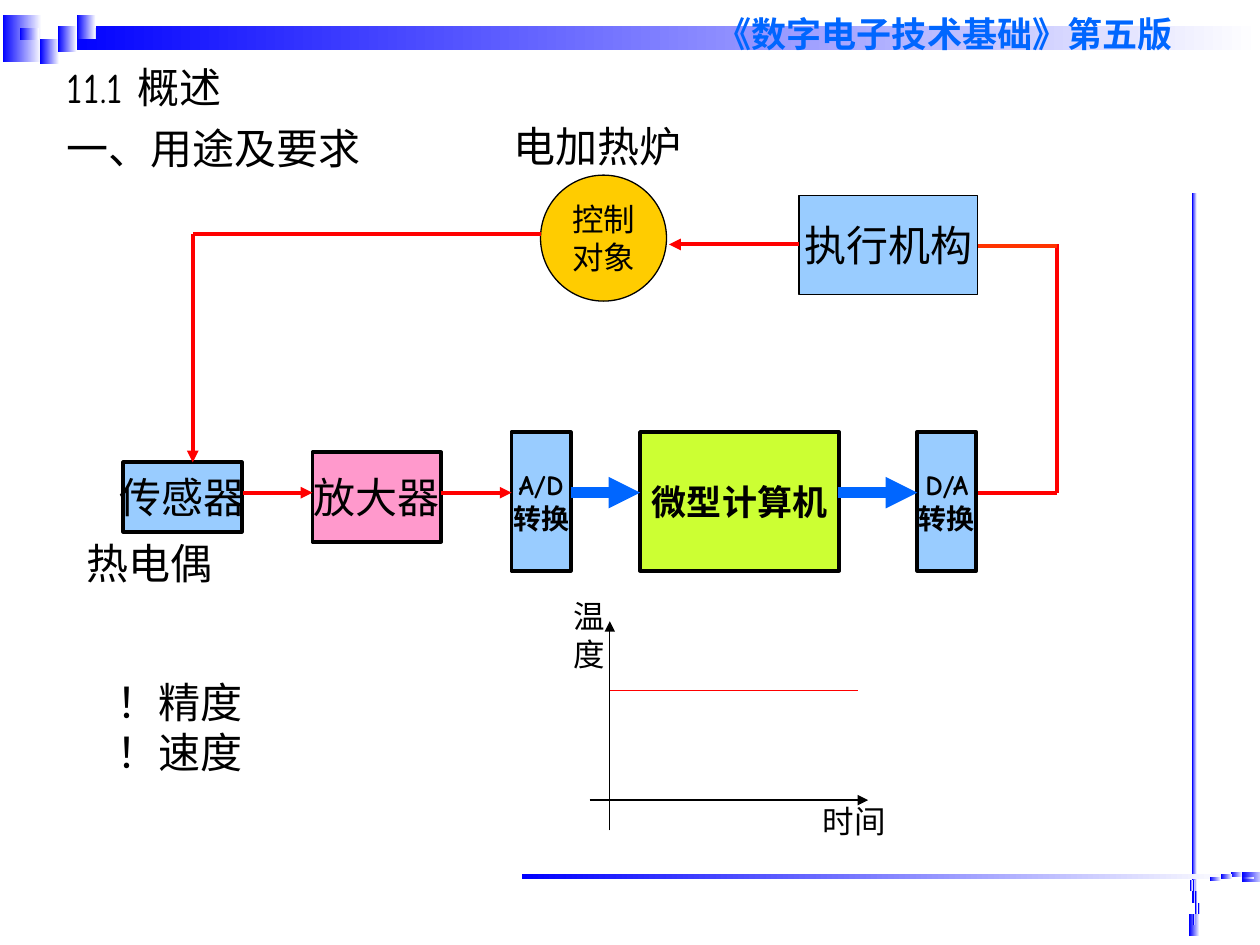
from pptx import Presentation
from pptx.dml.color import RGBColor
from pptx.enum.shapes import MSO_CONNECTOR, MSO_SHAPE
from pptx.enum.text import MSO_ANCHOR, MSO_AUTO_SIZE, PP_ALIGN
from pptx.oxml.ns import qn
from pptx.util import Inches, Pt
from lxml.etree import SubElement

RECT, OVAL = MSO_SHAPE.RECTANGLE, MSO_SHAPE.OVAL
LEFT, CENTER = PP_ALIGN.LEFT, PP_ALIGN.CENTER
SANS, COMIC = "Arial", "Comic Neue"
BLACK, RED, BLUE, SKY = "000000", "FF0000", "0066FF", "99CCFF"
rgb = RGBColor.from_string

prs = Presentation()
prs.slide_width, prs.slide_height = Inches(10), Inches(7.5)
s = prs.slides.add_slide(prs.slide_layouts[5])


def grid(*cells):
    """Lengths on a grid of 100 columns by 75 rows."""
    return [int(prs.slide_width * c / 100) for c in cells]


def write(tf, text, size, font, color=BLACK, bold=False, align=LEFT, gap=0):
    tf.text = text
    for i, p in enumerate(tf.paragraphs):
        p.alignment = align
        if i and gap:
            p.space_before = Pt(gap)
        p.font.size, p.font.name, p.font.bold = Pt(size), font, bold
        p.font.color.rgb = rgb(color)


# Gradient ornaments: top band, right rule, bottom rule
ornaments = [(0.2, 1.2, 3.1, 3.7), (4.7, 2.1, 95.3, 1.9)]
ornaments += [(x, y, 1.5, 1) for x, y in [
    (4.6, 2.1), (6.1, 1.2), (6.1, 2.1), (3.2, 3.1), (1.6, 2.2), (4.6, 3.1), (3.2, 4.1)]]
ornaments += [(94.4, 72.5, 0.8, 1.8), (94.6, 15.3, 0.4, 56.4)]
ornaments += [(x, y, 0.2, 0.9) for x, y in [
    (94.65, 70.75), (94.45, 69.85), (94.65, 69.85), (94.85, 71.65),
    (94.65, 72.55), (94.85, 70.75), (95.05, 71.65)]]
ornaments += [(98.6, 69.2, 1.8, 0.8), (41.4, 69.4, 56.4, 0.4)]
ornaments += [(x, y, 0.9, 0.2) for x, y in [
    (96.9, 69.6), (96, 69.7), (96, 69.6), (97.7, 69.4),
    (98.6, 69.6), (96.9, 69.4), (97.7, 69.2)]]
for cells in ornaments:
    sp = s.shapes.add_shape(RECT, *grid(*cells))
    sp.shadow.inherit = False
    sp.line.fill.background()
    sp.fill.gradient()
    sp.fill.gradient_angle = 180
    for stop, color in zip(sp.fill.gradient_stops, ("FFFFFF", "0000FF")):
        stop.color.rgb = rgb(color)

# Section title
title = s.shapes.title
title.left, title.top, title.width, title.height = grid(4.3, 4.4, 35, 10)
tf = title.text_frame
tf.auto_size, tf.vertical_anchor = MSO_AUTO_SIZE.NONE, MSO_ANCHOR.TOP
write(tf, "11.1 概述\n一、用途及要求", 24, COMIC, gap=6)

# Blocks of the control loop
for kind, cells, text, size, font, bold, fill, weight in [
    (RECT, (9.8, 36.7, 9.4, 5.5), "传感器", 24, COMIC, False, SKY, 2.25),
    (RECT, (24.8, 35.9, 10.2, 7.1), "放大器", 24, SANS, False, "FF99CC", 2.25),
    (RECT, (40.6, 34.3, 4.7, 11), "A/D\n转换", 16, COMIC, True, SKY, 2.25),
    (RECT, (50.8, 34.3, 15.8, 11), "微型计算机", 20, COMIC, True, "CCFF33", 2.25),
    (RECT, (72.8, 34.3, 4.7, 11), "D/A\n转换", 16, COMIC, True, SKY, 2.25),
    (OVAL, (42.9, 13.9, 10, 10), "控制\n对象", 18, SANS, False, "FFCC00", 0.75),
    (RECT, (63.4, 15.5, 14.2, 7.9), "执行机构", 24, SANS, False, SKY, 0.75),
]:
    sp = s.shapes.add_shape(kind, *grid(*cells))
    sp.shadow.inherit = False
    sp.fill.solid()
    sp.fill.fore_color.rgb = rgb(fill)
    sp.line.color.rgb, sp.line.width = rgb(BLACK), Pt(weight)
    sp.text_frame.word_wrap = False
    sp.text_frame.vertical_anchor = MSO_ANCHOR.MIDDLE
    write(sp.text_frame, text, size, font, bold=bold, align=CENTER)

# Signal paths, then the axes and the set temperature
for ends, color, weight, arrow in [
    ((19.3, 39.1, 24.8, 39.1), RED, 2.25, True),
    ((35, 39.1, 40.6, 39.1), RED, 2.25, True),
    ((45.3, 39.1, 50.8, 39.1), BLUE, 6, True),
    ((66.5, 39.1, 72.8, 39.1), BLUE, 6, True),
    ((77.6, 39.1, 83.9, 39.1), RED, 2.25, False),
    ((83.9, 39.1, 83.9, 19.4), RED, 2.25, False),
    ((77.6, 19.5, 83.9, 19.5), "FF3300", 2.25, False),
    ((63.4, 19.4, 53.1, 19.4), RED, 2.25, True),
    ((42.9, 18.6, 15.3, 18.6), RED, 2.25, False),
    ((15.3, 18.6, 15.3, 36.7), RED, 2.25, True),
    ((46.8, 63.5, 68.9, 63.5), BLACK, 0.75, True),
    ((48.4, 65.9, 48.4, 49.3), BLACK, 0.75, True),
    ((48.4, 54.8, 68.1, 54.8), RED, 0.75, False),
]:
    line = s.shapes.add_connector(MSO_CONNECTOR.STRAIGHT, *grid(*ends))
    line.line.color.rgb, line.line.width = rgb(color), Pt(weight)
    if arrow:
        SubElement(line.line._get_or_add_ln(), qn("a:tailEnd"), type="triangle")
    SubElement(line._element.spPr, qn("a:effectLst"))

# Book title, captions, axis names and requirements
for cells, text, size, color, bold in [
    ((55.9, 0.5, 40.6, 4.4), "《数字电子技术基础》第五版", 20, BLUE, True),
    ((39.8, 9.1, 15.7, 5), "电加热炉", 24, BLACK, False),
    ((5.9, 42.2, 15.7, 5), "热电偶", 24, BLACK, False),
    ((44.5, 46.9, 5.5, 7), "温度", 18, BLACK, False),
    ((64.3, 63.2, 7.1, 4), "时间", 18, BLACK, False),
    ((8.3, 53.2, 13.4, 9), "！精度\n！速度", 24, BLACK, False),
]:
    tf = s.shapes.add_textbox(*grid(*cells)).text_frame
    tf.word_wrap = True
    write(tf, text, size, SANS, color, bold)

prs.save("out.pptx")
